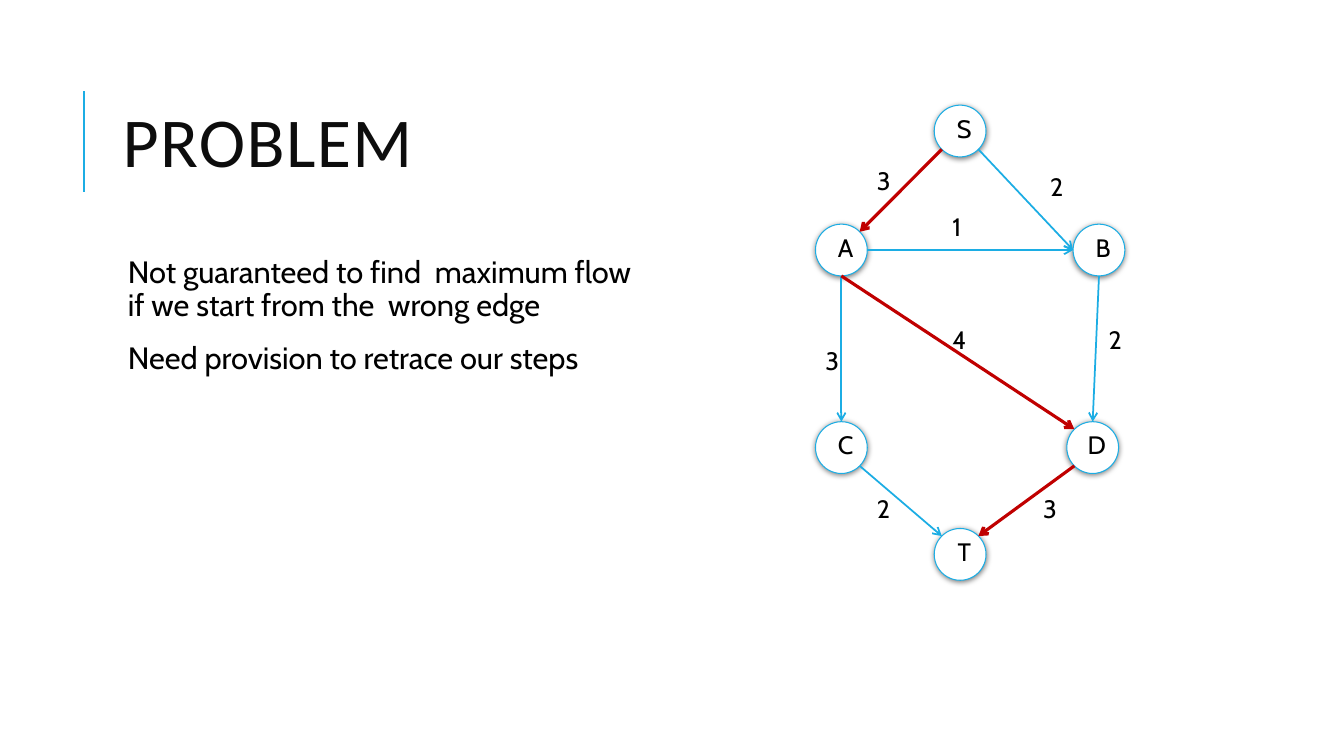
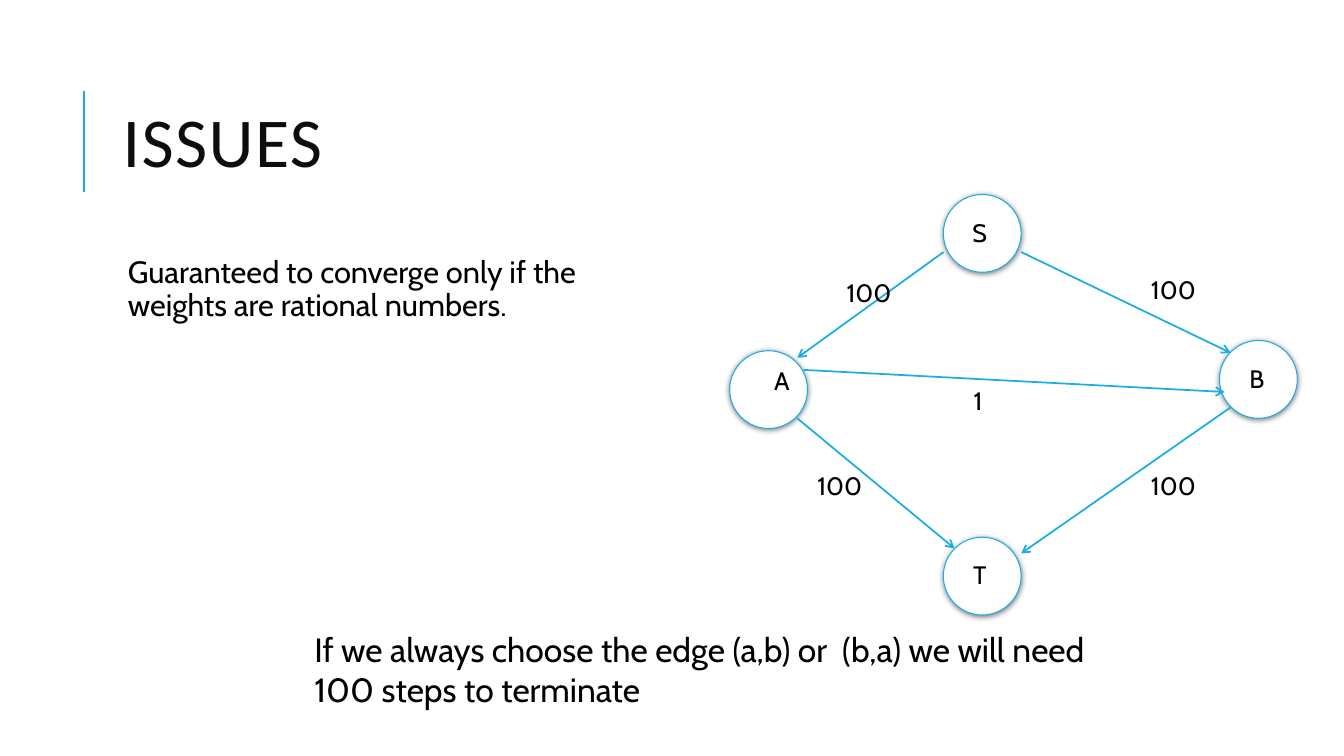
from math import cos, radians, sin

from pptx import Presentation
from pptx.dml.color import RGBColor
from pptx.enum.shapes import MSO_CONNECTOR as Connector, MSO_SHAPE as Shape
from pptx.enum.text import MSO_ANCHOR as Anchor, PP_ALIGN as Align
from pptx.oxml import parse_xml
from pptx.oxml.ns import nsdecls
from pptx.util import Pt

COLORS = {
    "accent": "1CADE4",
    "path": "C00000",
    "title": "0D0D0D",
    "text": "000000",
    "node": "FFFFFF",
}
TITLE_FONT = "Calibri"
BODY_FONT = "Cabin"

# Directions on a node's rim, in degrees clockwise from the right
RIM = {"right": 0, "lower right": 45, "bottom": 90, "lower left": 135,
       "left": 180, "upper left": 225, "top": 270, "upper right": 315}

FLOW_RADIUS = 18.5
FLOW_NODES = {
    "S": (685.8, 93.6),
    "A": (601, 178.6),
    "B": (785, 178.6),
    "C": (601, 319.7),
    "D": (780.5, 319.7),
    "T": (685.8, 396),
}
# from, its side, to, its side, on the chosen path, weight, weight position
FLOW_EDGES = [
    ("S", "lower left", "A", "upper right", True, "3", (619.2, 114.5)),
    ("S", "lower right", "B", "left", False, "2", (743, 118.8)),
    ("A", "right", "B", "left", False, "1", (673.2, 147.6)),
    ("A", "bottom", "C", "top", False, "3", (582.5, 243.4)),
    ("A", "bottom", "D", "upper left", True, "4", (673.2, 228.2)),
    ("B", "bottom", "D", "top", False, "2", (784.8, 228.2)),
    ("C", "lower right", "T", "upper left", False, "2", (619.2, 348.5)),
    ("D", "lower left", "T", "upper right", True, "3", (738, 348.5)),
]

ISSUE_RADIUS = 27.8
# name, centre, shift of the letter
ISSUE_NODES = [
    ("S", (701.6, 166.7), (-1.7, -1)),
    ("T", (701.6, 411.5), (-1.7, -1.5)),
    ("B", (898.9, 271), (-1, -1)),
    ("A", (549, 278.3), (9.6, -6.8)),
]
# start, end, weight, weight position
ISSUE_EDGES = [
    ((674, 180), (569.5, 255.6), "100", (597.6, 194.4)),
    ((569.5, 298.8), (681.8, 391.7), "100", (576.7, 332.6)),
    ((729.4, 180), (879, 252), "100", (815, 192.2)),
    ((879, 291), (729.4, 395.3), "100", (815, 332.6)),
    ((573.8, 264.2), (874.8, 280), "1", (688.3, 271.4)),
]


def color(name):
    return RGBColor.from_string(COLORS[name])


def style_font(para, size, name=BODY_FONT, ink="text"):
    para.font.size = Pt(size)
    para.font.name = name
    para.font.color.rgb = color(ink)


def add_text(page, left, top, width, height, lines, size=18):
    """Add a wrapped text box, one paragraph for each line."""
    box = page.shapes.add_textbox(Pt(left), Pt(top), Pt(width), Pt(height))
    frame = box.text_frame
    frame.word_wrap = True
    frame.text = "\n".join(lines)
    for para in frame.paragraphs:
        style_font(para, size)
    return frame


def add_line(page, start, end, ink="accent", width=1.25):
    line = page.shapes.add_connector(
        Connector.STRAIGHT, *(Pt(value) for value in (*start, *end)))
    line.line.color.rgb = color(ink)
    line.line.width = Pt(width)
    line._element.spPr.append(parse_xml(f"<a:effectLst {nsdecls('a')}/>"))
    return line


def add_edge(page, start, end, weight, weight_at, chosen=False):
    """Add an arrow and its weight; a chosen edge is thick and red."""
    arrow = add_line(page, start, end, *(("path", 2.25) if chosen else ()))
    arrow.line._get_or_add_ln().append(
        parse_xml(f'<a:tailEnd {nsdecls("a")} type="arrow"/>'))
    add_text(page, *weight_at, 18 + 12 * len(weight), 29, [weight])


def add_node(page, name, center, radius, shift):
    x, y = center
    node = page.shapes.add_shape(Shape.OVAL, Pt(x - radius), Pt(y - radius),
                                 Pt(2 * radius), Pt(2 * radius))
    node.fill.solid()
    node.fill.fore_color.rgb = color("node")
    node.line.color.rgb = color("accent")
    node.line.width = Pt(0.75)
    node.shadow.inherit = False
    node._element.spPr.effectLst.append(parse_xml(
        f'<a:outerShdw {nsdecls("a")} blurRad="{Pt(4)}" dist="{Pt(1)}" '
        f'dir="5400000" rotWithShape="0"><a:srgbClr val="{COLORS["text"]}">'
        '<a:alpha val="50000"/></a:srgbClr></a:outerShdw>'))
    frame = node.text_frame
    frame.vertical_anchor = Anchor.MIDDLE
    # An inset of twice the shift moves the centred letter by the shift
    right, down = shift
    frame.margin_left = Pt(max(0, 2 * right))
    frame.margin_right = Pt(max(0, -2 * right))
    frame.margin_top = Pt(max(0, 2 * down))
    frame.margin_bottom = Pt(max(0, -2 * down))
    frame.text = name
    para = frame.paragraphs[0]
    para.alignment = Align.CENTER
    style_font(para, 18)


def rim_point(center, radius, side):
    angle = radians(RIM[side])
    x, y = center
    return x + radius * cos(angle), y + radius * sin(angle)


def add_page(deck, title, points):
    """Add a slide with the shared rule, title and body text."""
    page = deck.slides.add_slide(deck.slide_layouts[6])
    add_line(page, (60, 137), (60, 65), width=1.5)

    frame = add_text(page, 80.6, 46, 765.4, 118, [title])
    frame.vertical_anchor = Anchor.MIDDLE
    para = frame.paragraphs[0]
    para.line_spacing = 0.8
    style_font(para, 50, TITLE_FONT, "title")
    para.runs[0].font._element.set("spc", "100")

    frame = add_text(page, 80.6, 180, 374.4, 316.8, points, 22)
    frame.margin_left = Pt(10.8)
    frame.margin_right = frame.margin_top = frame.margin_bottom = Pt(3.6)
    for index, para in enumerate(frame.paragraphs):
        para.line_spacing = 0.9
        para.space_before = Pt(12 if index else 0)
        para.space_after = Pt(2)
    return page


def add_problem(deck):
    page = add_page(deck, "PROBLEM", [
        "Not guaranteed to find  maximum flow if we start from the  wrong edge",
        "Need provision to retrace our steps",
    ])
    for name, center in FLOW_NODES.items():
        add_node(page, name, center, FLOW_RADIUS, (3, -2))
    for tail, tail_side, head, head_side, chosen, weight, at in FLOW_EDGES:
        add_edge(page, rim_point(FLOW_NODES[tail], FLOW_RADIUS, tail_side),
                 rim_point(FLOW_NODES[head], FLOW_RADIUS, head_side),
                 weight, at, chosen)


def add_issues(deck):
    page = add_page(deck, "ISSUES", [
        "Guaranteed to converge only if the weights are rational numbers."])
    for name, center, shift in ISSUE_NODES:
        add_node(page, name, center, ISSUE_RADIUS, shift)
    for edge in ISSUE_EDGES:
        add_edge(page, *edge)
    add_text(page, 217.4, 445.7, 579.6, 65.5, [
        "If we always choose the edge (a,b) or  (b,a) we will need "
        "100 steps to terminate"], 24)


def main():
    deck = Presentation()
    deck.slide_width, deck.slide_height = Pt(960), Pt(540)
    add_problem(deck)
    add_issues(deck)
    deck.save("out.pptx")


if __name__ == "__main__":
    main()
